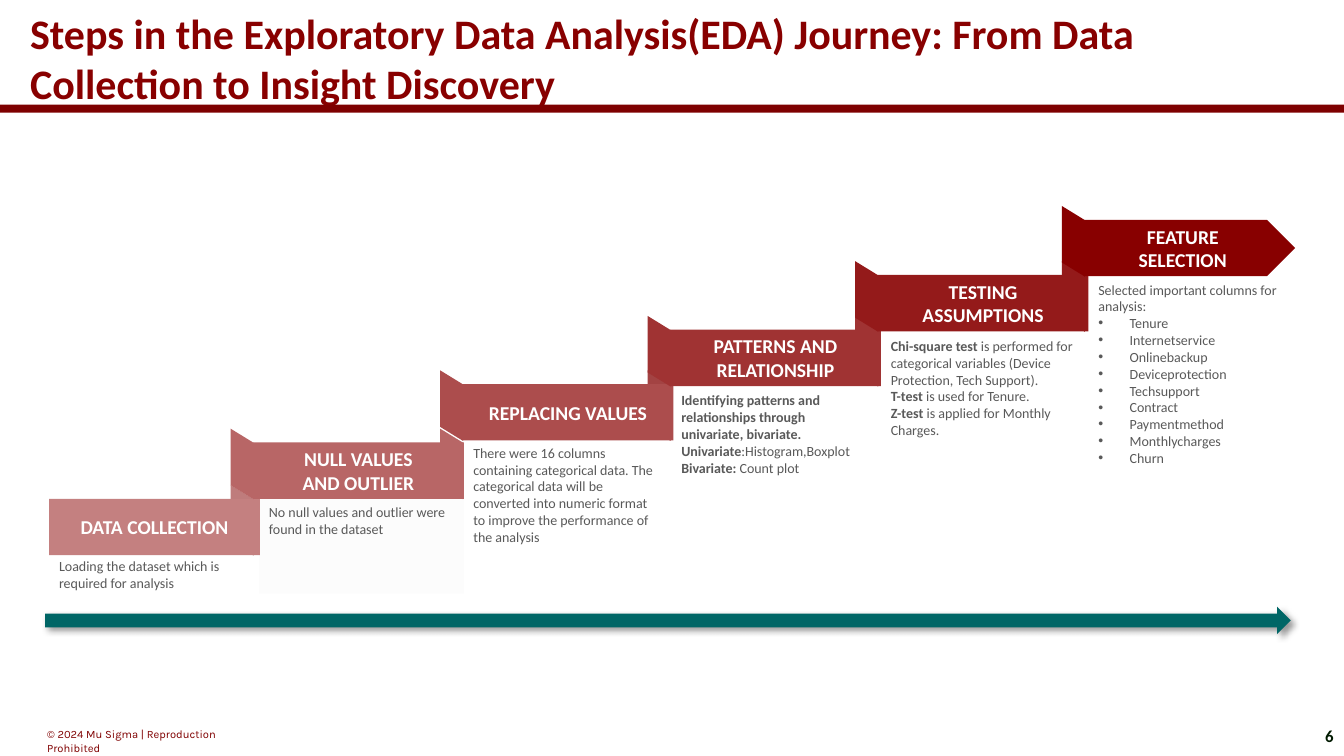
"""Build the slide on the steps of the exploratory data analysis journey."""
from lxml import etree
from pptx import Presentation
from pptx.dml.color import RGBColor
from pptx.enum.shapes import MSO_SHAPE
from pptx.enum.text import MSO_ANCHOR, MSO_AUTO_SIZE, PP_ALIGN
from pptx.oxml.ns import qn
from pptx.util import Cm, Pt

RECTANGLE, PENTAGON = MSO_SHAPE.RECTANGLE, MSO_SHAPE.PENTAGON
FLAP, ARROW = MSO_SHAPE.FLOWCHART_DATA, MSO_SHAPE.RIGHT_ARROW
TOP, MIDDLE = MSO_ANCHOR.TOP, MSO_ANCHOR.MIDDLE
LEFT, CENTER, RIGHT = PP_ALIGN.LEFT, PP_ALIGN.CENTER, PP_ALIGN.RIGHT
NO_FIT = MSO_AUTO_SIZE.NONE

COLORS = {
    "rule": "7E0000", "title": "880000", "footer": "800000", "number": "001A00",
    "note": "595959", "panel": "FCFCFC", "label": "FFFFFF", "arrow": "006666",
    "shadow": "000000",
    "step 1": "C48080", "step 2": "B86666", "step 3": "AC4D4D",
    "step 4": "A03333", "step 5": "941A1A", "step 6": "880000",
    "fold 1": "BF7C7C", "fold 2": "B86666", "fold 3": "A34343",
    "fold 4": "A03333", "fold 5": "941A1A",
}
FORMATS = {
    "title": {"name": "Calibri", "size": Pt(30), "bold": True},
    "label": {"name": "Calibri", "size": Pt(14), "bold": True},
    "note": {"name": "Calibri", "size": Pt(10), "bold": False},
    "footer": {"name": "Karla", "size": Pt(8), "bold": False},
    "number": {"name": "Calibri", "size": Pt(12), "bold": True},
}

TITLE = ("Steps in the Exploratory Data Analysis(EDA) Journey: "
         "From Data Collection to Insight Discovery")
FOOTER = "© 2024 Mu Sigma | Reproduction Prohibited"
PAGE_NUMBER = "6"

STEPS = [
    {"label": ["DATA COLLECTION"], "band": (1.24, 12.57),
     "box": (1.24, 13.92, 5.28, 1.12),
     "note": [[("Loading the dataset which is required for analysis", False)]]},
    {"label": ["NULL VALUES", "AND OUTLIER"], "band": (6.38, 11.15),
     "box": (6.53, 12.57, 5.16, 2.39), "panel": True,
     "note": [[("No null values and outlier were found in the dataset", False)]]},
    {"label": ["REPLACING VALUES"], "band": (11.66, 9.68),
     "box": (11.68, 11.07, 5.26, 3.68),
     "note": [[("There were 16 columns containing categorical data. The categorical "
                "data will be converted into numeric format to improve the "
                "performance of the analysis", False)]]},
    {"label": ["PATTERNS AND", "RELATIONSHIP"], "band": (16.89, 8.31),
     "box": (16.92, 9.75, 5.26, 4.11),
     "note": [[("Identifying patterns and relationships through univariate, "
                "bivariate.", True)],
              [("Univariate", True), (":Histogram,Boxplot", False)],
              [("Bivariate:", True), (" Count plot", False)]]},
    {"label": ["TESTING", "ASSUMPTIONS"], "band": (22.12, 6.93),
     "box": (22.2, 8.38, 5.26, 6.25),
     "note": [[("Chi-square test", True),
               (" is performed for categorical variables (Device Protection, "
                "Tech Support).", False)],
              [("T-test", True), (" is used for Tenure.", False)],
              [("Z-test", True), (" is applied for Monthly Charges.", False)]]},
    {"label": ["FEATURE", "SELECTION"], "band": (27.33, 5.54),
     "box": (27.43, 6.96, 5.23, 7.52),
     "note": [[("Selected important columns for analysis:", False)]],
     "bullets": ["Tenure", "Internetservice", "Onlinebackup", "Deviceprotection",
                 "Techsupport", "Contract", "Paymentmethod", "Monthlycharges",
                 "Churn"]},
]

BAND_SIZE = (5.31, 1.42)
FLAP_SIZE = (1.78, 0.58)
FLAP_SHIFT = (-1.17, 0.25)
BULLET_INDENT = 0.79


def color(name):
    return RGBColor.from_string(COLORS[name])


def add_filled(page, kind, fill, *place):
    shape = page.shapes.add_shape(kind, *map(Cm, place))
    shape.shadow.inherit = False
    shape.fill.solid()
    shape.fill.fore_color.rgb = color(fill)
    shape.line.fill.background()
    return shape


def add_box(page, *place):
    return page.shapes.add_textbox(*map(Cm, place))


def write(shape, style, paragraphs, align=LEFT, anchor=TOP, bullets_from=None):
    frame = shape.text_frame
    settings = {"word_wrap": True, "auto_size": NO_FIT, "vertical_anchor": anchor}
    for name, value in settings.items():
        setattr(frame, name, value)
    for index, spans in enumerate(paragraphs):
        para = frame.paragraphs[0] if index == 0 else frame.add_paragraph()
        para.alignment = align
        if bullets_from is not None and index >= bullets_from:
            add_bullet(para)
        for text, bold in spans:
            span = para.add_run()
            span.text = text
            for name, value in {**FORMATS[style], "bold": bold}.items():
                setattr(span.font, name, value)
            span.font.color.rgb = color(style)


def plain(style, *lines):
    return [[(line, FORMATS[style]["bold"])] for line in lines]


def add_bullet(para):
    properties = para._p.get_or_add_pPr()
    properties.set("marL", str(Cm(BULLET_INDENT)))
    properties.set("indent", str(-Cm(BULLET_INDENT)))
    etree.SubElement(properties, qn("a:buFont"), typeface="Arial")
    etree.SubElement(properties, qn("a:buChar"), char="•")


def add_shadow(shape):
    effects = shape._element.spPr.find(qn("a:effectLst"))
    shadow = etree.SubElement(effects, qn("a:outerShdw"), blurRad=str(Pt(4)),
                              dist=str(Pt(3)), dir=str(45 * 60000), rotWithShape="0")
    tint = etree.SubElement(shadow, qn("a:srgbClr"), val=COLORS["shadow"])
    etree.SubElement(tint, qn("a:alpha"), val="40000")


def add_flap(page, fill, left, top):
    flap = add_filled(page, FLAP, fill, left + FLAP_SHIFT[0], top + FLAP_SHIFT[1],
                      *FLAP_SIZE)
    flap.rotation = 270


def add_note(page, step):
    if step.get("panel"):
        box = add_filled(page, RECTANGLE, "panel", *step["box"])
    else:
        box = add_box(page, *step["box"])
    bullets = plain("note", *step.get("bullets", []))
    write(box, "note", step["note"] + bullets, bullets_from=len(step["note"]))


def add_step(page, index):
    step, number = STEPS[index], index + 1
    left, top = step["band"]
    is_last = number == len(STEPS)
    if not is_last:
        add_flap(page, f"fold {number}", STEPS[number]["band"][0], top)
    if index > 0:
        add_flap(page, f"step {number}", left, top)
    band = add_filled(page, PENTAGON if is_last else RECTANGLE, f"step {number}",
                      left, top, *BAND_SIZE)
    write(band, "label", plain("label", *step["label"]), CENTER, MIDDLE)


def add_title(page):
    title = page.shapes.title
    places = {"left": 0.76, "top": 0.23, "width": 31.06, "height": 2.46}
    for name, value in places.items():
        setattr(title, name, Cm(value))
    for side in ("left", "top", "right", "bottom"):
        setattr(title.text_frame, f"margin_{side}", 0)
    write(title, "title", plain("title", TITLE), LEFT, MIDDLE)


def main():
    deck = Presentation()
    deck.slide_width, deck.slide_height = Cm(33.87), Cm(19.05)
    page = deck.slides.add_slide(deck.slide_layouts[5])
    add_filled(page, RECTANGLE, "rule", 0, 2.64, 33.87, 0.2)
    add_title(page)
    write(add_box(page, 0.94, 18.21, 5.94, 0.61), "footer", plain("footer", FOOTER))
    write(add_box(page, 32.54, 18.03, 1.32, 1.02), "number",
          plain("number", PAGE_NUMBER), RIGHT, MIDDLE)
    for step in STEPS:
        add_note(page, step)
    for index in range(len(STEPS)):
        add_step(page, index)
    add_shadow(add_filled(page, ARROW, "arrow", 1.14, 15.29, 31.39, 0.69))
    deck.save("out.pptx")


if __name__ == "__main__":
    main()
